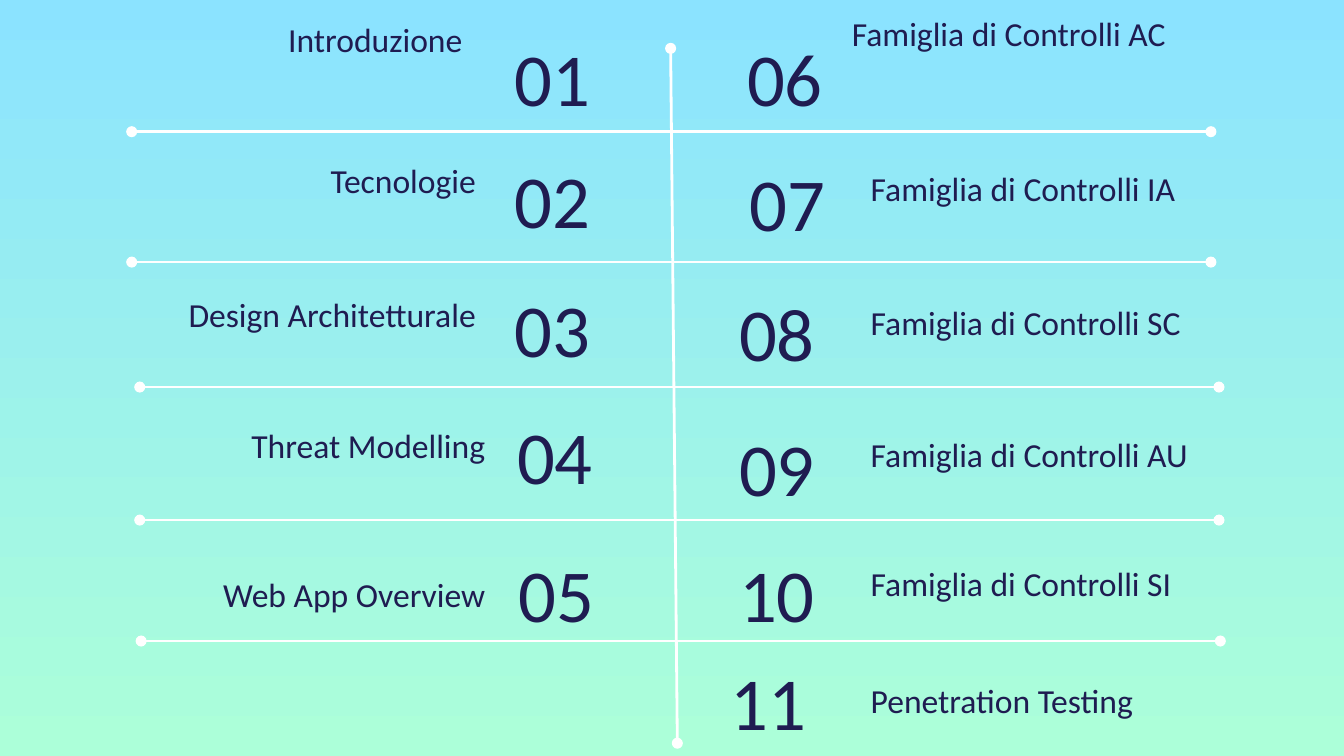
"""Build a two-column agenda slide with numbered topics around a centre line."""
import pptx
import pptx.dml.color
import pptx.enum.shapes
import pptx.enum.text
import pptx.oxml
import pptx.oxml.ns
import pptx.util

Inches = pptx.util.Inches
Align = pptx.enum.text.PP_ALIGN
Anchor = pptx.enum.text.MSO_ANCHOR

LEFT_TOPICS = [
    ("01", (3.73, 0.14), "Introduzione", (0.56, 0.04)),
    ("02", (3.73, 1.05), "Tecnologie", (0.66, 1.09)),
    ("03", (3.73, 2.01), "Design Architetturale", (0.66, 2.09)),
    ("04", (3.75, 2.95), "Threat Modelling", (0.73, 3.06)),
    ("05", (3.76, 3.98), "Web App Overview", (0.73, 4.17)),
]
RIGHT_TOPICS = [
    ("06", (4.92, 0.14), "Famiglia di Controlli AC", (6.24, 0)),
    ("07", (4.94, 1.07), "Famiglia di Controlli IA", (6.38, 1.15)),
    ("08", (4.86, 2.04), "Famiglia di Controlli SC", (6.38, 2.15)),
    ("09", (4.86, 3.04), "Famiglia di Controlli AU", (6.38, 3.13)),
    ("10", (4.86, 3.98), "Famiglia di Controlli SI", (6.38, 4.09)),
    ("11", (4.8, 4.78), "Penetration Testing", (6.38, 4.96)),
]
DIVIDERS = [(0.98, 0.98), (0.98, 1.95), (1.04, 2.88), (1.04, 3.87), (1.05, 4.77)]
DIVIDER_WIDTH = 8.03
CENTRE_LINE = ((4.99, 0.36), (5.04, 5.53))
NUMBER_SIZE = (1.3, 0.86)
TOPIC_SIZE = (2.98, 0.5)

THEME = {
    "font": "Calibri",
    "ink": "1F1C51",
    "line": "FFFFFF",
    "background": ("8BE3FF", "ACFFD9"),
    "number": 40,
    "topic": 18,
    "line_width": 1.5,
}


def rgb(value):
    return pptx.dml.color.RGBColor.from_string(value)


def add_text(slide, text, *, at, box, size, align, anchor):
    frame = slide.shapes.add_textbox(*map(Inches, at + box)).text_frame
    frame.word_wrap = True
    frame.vertical_anchor = anchor
    frame.margin_left = frame.margin_right = Inches(0.1)
    frame.margin_top = frame.margin_bottom = Inches(0.1)
    paragraph = frame.paragraphs[0]
    paragraph.alignment = align
    run = paragraph.add_run()
    run.text = text
    run.font.name = THEME["font"]
    run.font.size = pptx.util.Pt(size)
    run.font.color.rgb = rgb(THEME["ink"])


def add_dotted_end_line(slide, start, end):
    connector = slide.shapes.add_connector(
        pptx.enum.shapes.MSO_CONNECTOR.STRAIGHT, *map(Inches, start + end))
    connector.line.color.rgb = rgb(THEME["line"])
    connector.line.width = pptx.util.Pt(THEME["line_width"])
    properties = connector.element.spPr
    outline = properties.find(pptx.oxml.ns.qn("a:ln"))
    namespace = pptx.oxml.ns.nsdecls("a")
    for tag in ("headEnd", "tailEnd"):
        outline.append(pptx.oxml.parse_xml(f'<a:{tag} {namespace} type="oval"/>'))
    properties.append(pptx.oxml.parse_xml(f"<a:effectLst {namespace}/>"))


def add_topics(slide, topics, number_align, topic_align):
    for number, number_at, topic, topic_at in topics:
        add_text(slide, number, at=number_at, box=NUMBER_SIZE, size=THEME["number"],
                 align=number_align, anchor=Anchor.MIDDLE)
        add_text(slide, topic, at=topic_at, box=TOPIC_SIZE, size=THEME["topic"],
                 align=topic_align, anchor=Anchor.BOTTOM)


def main():
    presentation = pptx.Presentation()
    presentation.slide_width = Inches(10)
    presentation.slide_height = Inches(10) * 9 // 16
    slide = presentation.slides.add_slide(presentation.slide_layouts[6])

    fill = slide.background.fill
    fill.gradient()
    fill.gradient_angle = 270
    for stop, color in zip(fill.gradient_stops, THEME["background"]):
        stop.color.rgb = rgb(color)

    add_dotted_end_line(slide, *CENTRE_LINE)
    for left, top in DIVIDERS:
        add_dotted_end_line(slide, (left, top), (left + DIVIDER_WIDTH, top))
    add_topics(slide, LEFT_TOPICS, Align.LEFT, Align.RIGHT)
    add_topics(slide, RIGHT_TOPICS, Align.RIGHT, Align.LEFT)
    presentation.save("out.pptx")


if __name__ == "__main__":
    main()
